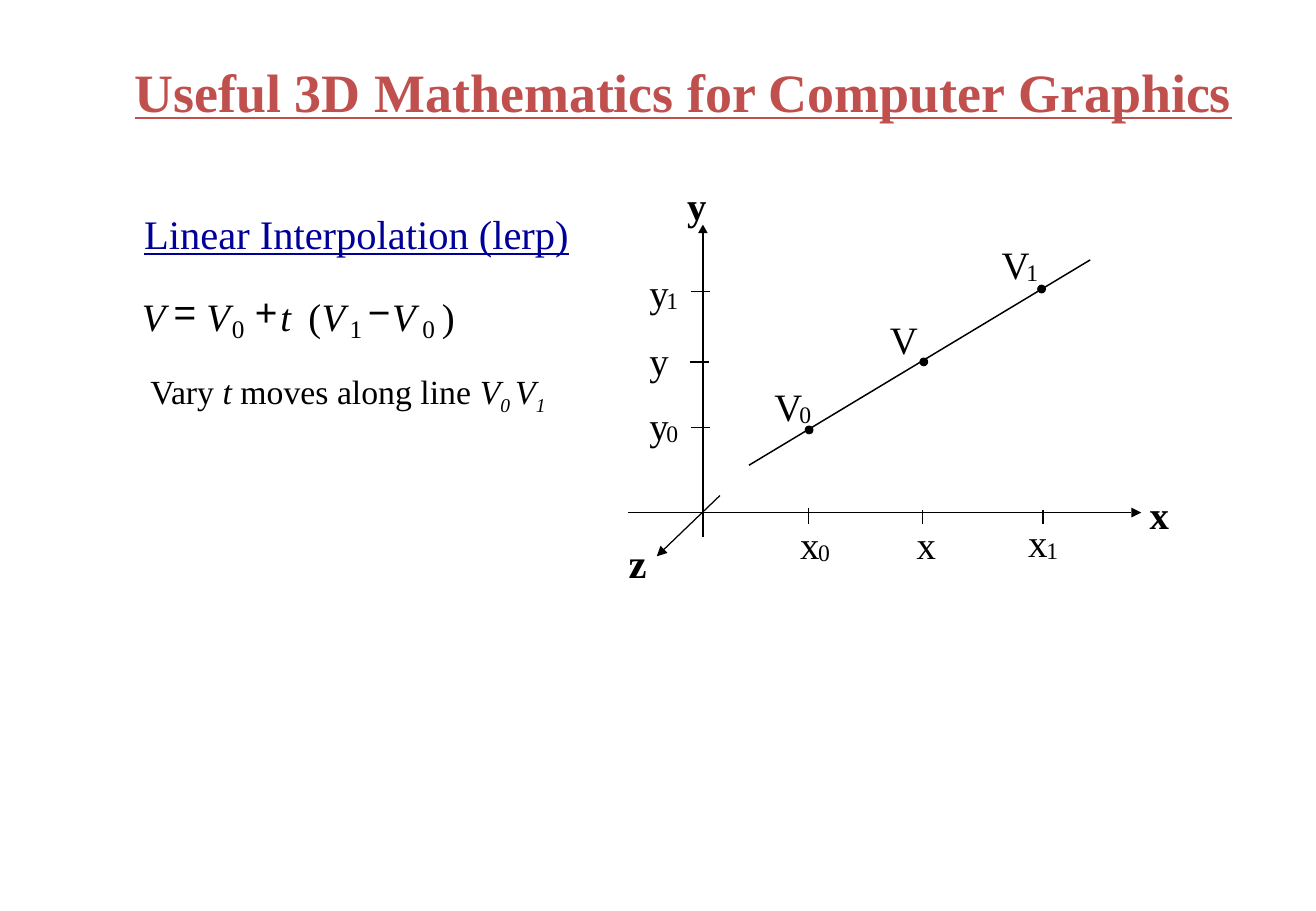
from dataclasses import dataclass

from lxml.etree import SubElement
from pptx import Presentation
from pptx.dml.color import RGBColor
from pptx.enum.shapes import MSO_CONNECTOR, MSO_SHAPE
from pptx.enum.text import MSO_AUTO_SIZE
from pptx.oxml.ns import qn
from pptx.shapes.connector import Connector
from pptx.slide import Slide
from pptx.util import Inches, Length, Pt

COLS, ROWS = 108.4, 75
CELL = 0.1
SERIF, SANS = "Times New Roman", "Arial"
BLACK, TITLE_RED, HEADING_BLUE = "000000", "C0504D", "000099"
AXIS_X, AXIS_Y = 57.9, 42.2
LABEL_SIZE, SUB_SIZE = 23, 14
Point = tuple[float, float]


@dataclass(frozen=True)
class Run:
    """A stretch of text with its style."""
    text: str
    bold: bool = False
    italic: bool = False
    underline: bool = False
    sub: bool = False


@dataclass(frozen=True)
class Sample:
    """A point on the line with its ticks and label positions."""
    sub: str
    dot: Point
    tick_x: Point
    tick_y: Point
    x_label: Point
    y_label: Point
    v_label: Point


@dataclass(frozen=True)
class Symbol:
    """One glyph of the formula."""
    text: str
    col: float
    width: float
    row: float = 24.1
    size: float = LABEL_SIZE
    font: str = SERIF
    italic: bool = False


SAMPLES = [
    Sample("0", (66.65, 35.4), (66.6, 41.8), (56.9, 35.2), (65.9, 42.9), (53.5, 33.1), (63.8, 31.5)),
    Sample("", (76.1, 29.8), (76, 42), (56.8, 29.8), (75.5, 42.9), (53.5, 27.7), (73.3, 26)),
    Sample("1", (85.8, 23.8), (85.9, 42), (56.9, 24), (84.7, 42.7), (53.5, 22.1), (82.5, 19.8)),
]
LETTERS = {"x": (1.6, 1.5), "y": (1.6, 1.4), "V": (2.3, 2.05)}
FORMULA = [
    Symbol("V", 11.7, 2, italic=True),
    Symbol("=", 14.3, 2.6, 23.7, font=SANS),
    Symbol("V", 17, 2, italic=True),
    Symbol("0", 19.1, 1.1, 25.8, 15),
    Symbol("+", 21, 1.9, 23.7, font=SANS),
    Symbol("t", 23.1, 0.9, italic=True),
    Symbol("(", 25.4, 1.1),
    Symbol("V", 26.5, 2, italic=True),
    Symbol("1", 28.8, 1.1, 25.8, 15),
    Symbol("−", 30.3, 1.9, 23.7, font=SANS),
    Symbol("V", 32.3, 2, italic=True),
    Symbol("0", 34.8, 1.6, 25.8, 15),
    Symbol(")", 36.4, 1.1),
]


def cells(n: float) -> Length:
    """Convert grid cells to a length."""
    return Inches(n * CELL)


def rgb(value: str) -> RGBColor:
    """Convert a hex string to a colour."""
    return RGBColor.from_string(value)


def add_text(slide: Slide, at: Point, size: Point, runs: list[Run], points: float,
             color: str = BLACK, font: str = SERIF, inset: float = 0, wrap: bool = False) -> None:
    """Add a one-paragraph text box."""
    tf = slide.shapes.add_textbox(*map(cells, at + size)).text_frame
    tf.margin_left = tf.margin_right = cells(inset)
    tf.margin_top = tf.margin_bottom = cells(inset / 2)
    tf.word_wrap = wrap
    tf.auto_size = MSO_AUTO_SIZE.SHAPE_TO_FIT_TEXT
    p = tf.paragraphs[0]
    for run in runs:
        r = p.add_run()
        r.text = run.text
        r.font.name, r.font.size = font, Pt(points)
        r.font.bold, r.font.italic, r.font.underline = run.bold, run.italic, run.underline
        r.font.color.rgb = rgb(color)
        if run.sub:
            r.font._element.set("baseline", "-25000")


def add_line(slide: Slide, start: Point, end: Point, width: float = 0.88) -> Connector:
    """Add a black straight line."""
    line = slide.shapes.add_connector(MSO_CONNECTOR.STRAIGHT, *map(cells, start + end))
    line.line.color.rgb = rgb(BLACK)
    line.line.width = Pt(width)
    SubElement(line._element.spPr, qn("a:effectLst"))
    return line


def add_head(slide: Slide, corners: list[Point]) -> None:
    """Add a filled axis arrowhead."""
    points = [(cells(x), cells(y)) for x, y in corners]
    builder = slide.shapes.build_freeform(*points[0])
    builder.add_line_segments(points[1:], close=True)
    sp = builder.convert_to_shape()
    sp.shadow.inherit = False
    sp.fill.solid()
    sp.fill.fore_color.rgb = rgb(BLACK)
    sp.line.fill.background()


def add_dot(slide: Slide, center: Point, diameter: float = 0.6) -> None:
    """Add a black dot around its centre."""
    x, y = (c - diameter / 2 for c in center)
    sp = slide.shapes.add_shape(MSO_SHAPE.OVAL, *map(cells, (x, y, diameter, diameter)))
    sp.shadow.inherit = False
    sp.fill.solid()
    sp.fill.fore_color.rgb = rgb(BLACK)
    sp.line.color.rgb = rgb(BLACK)
    sp.line.width = Pt(0.88)


def add_label(slide: Slide, letter: str, sub: str, at: Point) -> None:
    """Add a letter with an optional lowered index."""
    width, advance = LETTERS[letter]
    add_text(slide, at, (width, 3.8), [Run(letter)], LABEL_SIZE)
    if sub:
        add_text(slide, (at[0] + advance, at[1] + 1.4), (1, 2.3), [Run(sub)], SUB_SIZE)


def add_axes(slide: Slide) -> None:
    """Draw the three axes and their names."""
    add_line(slide, (AXIS_X, 44.2), (AXIS_X, 19.1))
    add_head(slide, [(AXIS_X + 0.4, 19.2), (AXIS_X, 18.5), (AXIS_X - 0.4, 19.2)])
    add_line(slide, (51.7, AXIS_Y), (93.2, AXIS_Y))
    add_head(slide, [(93.2, AXIS_Y + 0.4), (94, AXIS_Y), (93.2, AXIS_Y - 0.4)])
    depth = add_line(slide, (59.3, 40.8), (54.1, 45.8), 0.75)
    SubElement(depth.line._get_or_add_ln(), qn("a:tailEnd"), type="triangle")
    add_text(slide, (56.6, 15), (1.6, 3.8), [Run("y", bold=True)], LABEL_SIZE)
    add_text(slide, (94.7, 40.4), (1.6, 3.8), [Run("x", bold=True)], LABEL_SIZE)
    add_text(slide, (50.8, 43.8), (3.5, 5), [Run("z", bold=True)], 24, inset=1)


def add_sample(slide: Slide, s: Sample) -> None:
    """Draw a point, its two ticks and its three labels."""
    add_dot(slide, s.dot)
    add_line(slide, s.tick_x, (s.tick_x[0], 43.1))
    add_line(slide, s.tick_y, (s.tick_y[0] + 1.6, s.tick_y[1]))
    for letter, at in zip("xyV", (s.x_label, s.y_label, s.v_label)):
        add_label(slide, letter, s.sub, at)


def main() -> None:
    """Build the slide and save it."""
    prs = Presentation()
    prs.slide_width, prs.slide_height = cells(COLS), cells(ROWS)
    slide = prs.slides.add_slide(prs.slide_layouts[6])
    add_text(slide, (10.1, 4.3), (94.9, 6.4),
             [Run("Useful 3D Mathematics for Computer Graphics", bold=True, underline=True)],
             32, TITLE_RED, inset=1, wrap=True)
    add_text(slide, (10.9, 16.7), (56.6, 5), [Run("Linear Interpolation (lerp)", underline=True)],
             24, HEADING_BLUE, inset=1, wrap=True)
    add_axes(slide)
    add_line(slide, (61.7, 38.3), (89.8, 21.4))
    for sample in SAMPLES:
        add_sample(slide, sample)
    for s in FORMULA:
        add_text(slide, (s.col, s.row), (s.width, s.size / 6),
                 [Run(s.text, italic=s.italic)], s.size, font=s.font)
    add_text(slide, (11.4, 30), (34.8, 4.8),
             [Run("Vary "), Run("t", italic=True), Run(" moves along line "),
              Run("V", italic=True), Run("0 ", italic=True, sub=True),
              Run("V", italic=True), Run("1", italic=True, sub=True)], 20, inset=1)
    prs.save("out.pptx")


if __name__ == "__main__":
    main()
